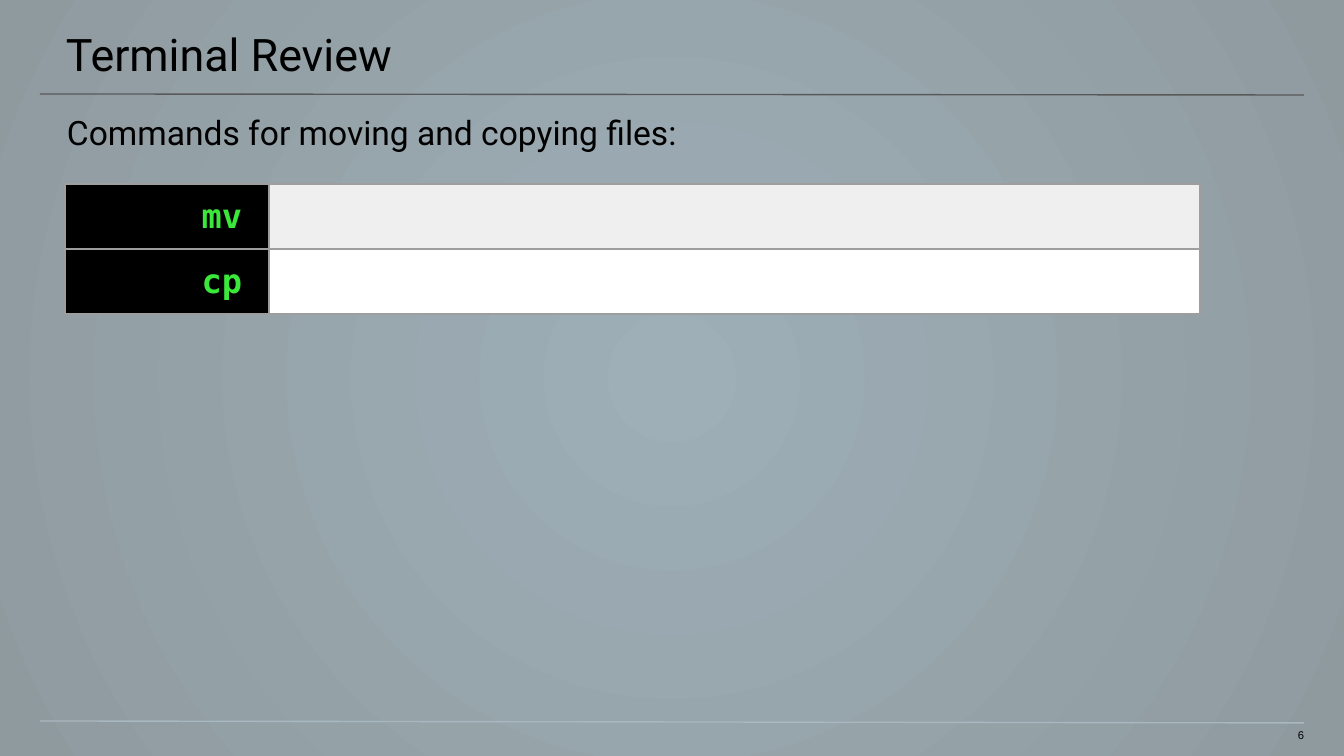
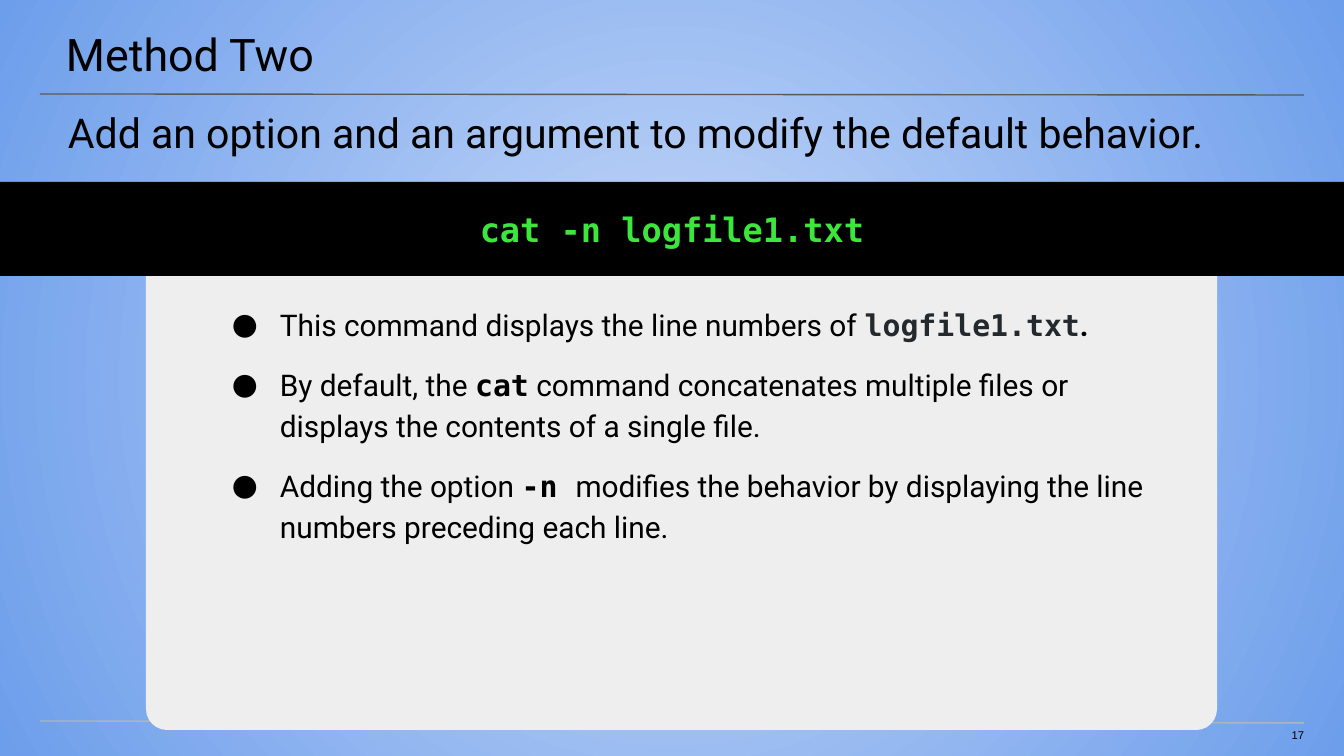
from lxml import etree
from pptx import Presentation
from pptx import util as u
from pptx.dml import color as dml
from pptx.enum import shapes, text
from pptx.oxml import ns

EMU_PER_PX = 914400 / 134.4
SANS, MONO, SMALL = "Roboto", "DejaVu Sans Mono", "Arial"
BLACK, WHITE, TERMINAL_GREEN, CODE_GREY = "000000", "FFFFFF", "3BE73B", "24292E"
PANEL, STRIPE, GRID = "EEEEEE", "EFEFEF", "9E9E9E"
TITLE_RULE, FOOTER_RULE = "595959", "A9B7C0"
LEFT, RIGHT, CENTER = text.PP_ALIGN.LEFT, text.PP_ALIGN.RIGHT, text.PP_ALIGN.CENTER
TOP, MIDDLE = text.MSO_ANCHOR.TOP, text.MSO_ANCHOR.MIDDLE


def px(length):
    """Turn pixels into EMU."""
    return u.Emu(round(length * EMU_PER_PX))


def rgb(code):
    """Turn a hex string into a colour."""
    return dml.RGBColor.from_string(code)


def child(parent, tag, **attributes):
    """Append a drawing element to a parent and return it."""
    return etree.SubElement(parent, ns.qn(tag), attributes)


def place(shape, box):
    """Move and size a shape to a pixel box."""
    shape.left, shape.top, shape.width, shape.height = map(px, box)


def set_frame(frame, insets, anchor=TOP):
    """Give a text frame its insets (left, top, right, bottom) and anchor."""
    frame.word_wrap = True
    frame.auto_size = text.MSO_AUTO_SIZE.NONE
    frame.vertical_anchor = anchor
    (frame.margin_left, frame.margin_top,
     frame.margin_right, frame.margin_bottom) = map(px, insets)


def style_run(run, size, font=SANS, color=BLACK, bold=False):
    """Format one run."""
    run.font.size = u.Pt(size)
    run.font.name = font
    run.font.bold = bold
    run.font.color.rgb = rgb(color)


def write(frame, words, size, align=LEFT, **style):
    """Fill a frame with one formatted paragraph and return it."""
    frame.text = words
    paragraph = frame.paragraphs[0]
    paragraph.alignment = align
    paragraph.space_before = u.Pt(0)
    style_run(paragraph.runs[0], size, **style)
    return paragraph


def indent(paragraph, margin, first=0):
    """Set the left margin and first-line indent of a paragraph."""
    properties = paragraph._p.get_or_add_pPr()
    properties.set("marL", str(px(margin)))
    properties.set("indent", str(px(first)))
    return properties


def paint_background(slide, center, edge, center_alpha=None):
    """Fill the background with a circular gradient."""
    fill = slide.background.fill
    fill.gradient()
    for stop, code, position in zip(fill.gradient_stops, (center, edge), (0, 1)):
        stop.color.rgb = rgb(code)
        stop.position = position
    gradient = slide.element.find(".//" + ns.qn("a:gradFill"))
    if center_alpha is not None:
        child(gradient.find(".//" + ns.qn("a:srgbClr")), "a:alpha",
              val=str(center_alpha * 1000))
    linear = gradient.find(ns.qn("a:lin"))
    circle = etree.Element(ns.qn("a:path"), {"path": "circle"})
    child(circle, "a:fillToRect", **dict.fromkeys("ltrb", "50000"))
    gradient.replace(linear, circle)


def add_rule(slide, start_y, end_y, color):
    """Draw a thin rule across the slide."""
    rule = slide.shapes.add_connector(
        shapes.MSO_CONNECTOR.STRAIGHT, px(40), px(start_y), px(1304), px(end_y))
    rule.line.color.rgb = rgb(color)
    rule.line.width = u.Pt(0.75)
    child(rule.element.spPr, "a:effectLst")


def add_block(slide, kind, box, color):
    """Draw a flat filled shape."""
    block = slide.shapes.add_shape(kind, *map(px, box))
    block.shadow.inherit = False
    block.fill.solid()
    block.fill.fore_color.rgb = rgb(color)
    block.line.fill.background()
    return block


def add_text(slide, box, insets):
    """Add a text box and return its frame."""
    frame = slide.shapes.add_textbox(*map(px, box)).text_frame
    set_frame(frame, insets)
    return frame


def use_placeholder(slide, index, box, insets):
    """Bring a placeholder to the front, fit it and return its frame."""
    holder = slide.placeholders[index]
    slide.shapes.element.append(holder.element)
    place(holder, box)
    set_frame(holder.text_frame, insets)
    return holder.text_frame


def new_slide(deck, layout, title, number, background):
    """Start a slide with its background, rules, title and page number."""
    slide = deck.slides.add_slide(deck.slide_layouts[layout])
    paint_background(slide, *background)
    add_rule(slide, 94, 95, TITLE_RULE)
    add_rule(slide, 721, 723, FOOTER_RULE)
    write(use_placeholder(slide, 0, (-1, 0, 1348, 94), (67, 27, 40, 13)), title, 24)
    write(add_text(slide, (1265, 728, 39, 16), (0, 0, 0, 13)),
          number, 6, RIGHT, font=SMALL)
    return slide


def fill_cell(cell, color):
    """Give a cell its borders and fill."""
    properties = cell._tc.get_or_add_tcPr()
    for side in "LRTB":
        line = child(properties, "a:ln" + side, w=str(u.Pt(0.75)))
        child(child(line, "a:solidFill"), "a:srgbClr", val=GRID)
    cell.fill.solid()
    cell.fill.fore_color.rgb = rgb(color)


def add_command_table(slide, commands, left, top, widths, row_height):
    """Add a table of commands with blank cells for the answers."""
    table = slide.shapes.add_table(
        len(commands), len(widths), px(left), px(top),
        px(sum(widths)), px(row_height * len(commands))).table
    table.first_row = table.horz_banding = False
    for column, width in zip(table.columns, widths):
        column.width = px(width)
    for row, command in enumerate(commands):
        table.rows[row].height = px(row_height)
        name, answer = table.cell(row, 0), table.cell(row, 1)
        fill_cell(name, BLACK)
        fill_cell(answer, WHITE if row % 2 else STRIPE)
        name.margin_left = name.margin_right = px(27)
        name.margin_top = name.margin_bottom = px(13)
        write(name.text_frame, command, 18, RIGHT,
              font=MONO, color=TERMINAL_GREEN, bold=True)


def add_bullets(frame, points):
    """Write bulleted points, each a list of (words, style) pieces."""
    for number, pieces in enumerate(points):
        point = frame.add_paragraph() if number else frame.paragraphs[0]
        properties = indent(point, 67, -48)
        child(child(properties, "a:buClr"), "a:srgbClr", val=BLACK)
        child(properties, "a:buFont", typeface=SANS)
        child(properties, "a:buChar", char="●")
        point.alignment = LEFT
        point.line_spacing = 1.15
        point.space_before = u.Pt(10 if number else 0)
        point.space_after = u.Pt(10 if number == len(points) - 1 else 0)
        for words, style in pieces:
            run = point.add_run()
            run.text = words
            style_run(run, 16, **style)


def build_review(deck):
    """Build the slide on moving and copying files."""
    slide = new_slide(deck, 0, "Terminal Review", "6", ("9EAFB8", "8F9A9F", 32))
    lead = use_placeholder(slide, 1, (0, 99, 1344, 54), (67, 13, 67, 0))
    write(lead, "Commands for moving and copying files:", 18)
    add_command_table(slide, ["mv", "cp"], 65, 184, (204, 931), 65)


def build_method(deck):
    """Build the slide on options and arguments."""
    slide = new_slide(deck, 1, "Method Two", "17", ("C9DAF8", "6D9EEB"))
    panel = add_block(slide, shapes.MSO_SHAPE.ROUND_2_SAME_RECTANGLE,
                      (146, 266, 1071, 464), PANEL)
    panel.rotation = 180
    panel.adjustments[0], panel.adjustments[1] = 0.045, 0

    plain, code = {}, {"font": MONO, "bold": True}
    explanation = use_placeholder(slide, 1, (146, 301, 1067, 323), (67, 0, 67, 134))
    add_bullets(explanation, [
        [("This command displays the line numbers of ", plain),
         ("logfile1.txt", {**code, "color": CODE_GREY}),
         (".", {"bold": True})],
        [("By default, the ", plain), ("cat", code),
         (" command concatenates multiple files or displays the contents"
          " of a single file.", plain)],
        [("Adding the option ", plain), ("-n ", code),
         ("modifies the behavior by displaying the line numbers"
          " preceding each line.", plain)],
    ])

    band = add_block(slide, shapes.MSO_SHAPE.RECTANGLE, (0, 182, 1344, 94), BLACK)
    set_frame(band.text_frame, (13, 13, 13, 13), MIDDLE)
    command = write(band.text_frame, "cat -n logfile1.txt", 18, CENTER,
                    font=MONO, color=TERMINAL_GREEN, bold=True)
    command.space_after = u.Pt(8)

    lead = add_text(slide, (4, 94, 1344, 141), (13, 13, 13, 13))
    indent(write(lead, "Add an option and an argument to modify the default behavior.",
                 22), 51)


def main():
    """Build and save the deck."""
    deck = Presentation()
    deck.slide_width, deck.slide_height = px(1344), px(756)
    build_review(deck)
    build_method(deck)
    deck.save("out.pptx")


if __name__ == "__main__":
    main()
